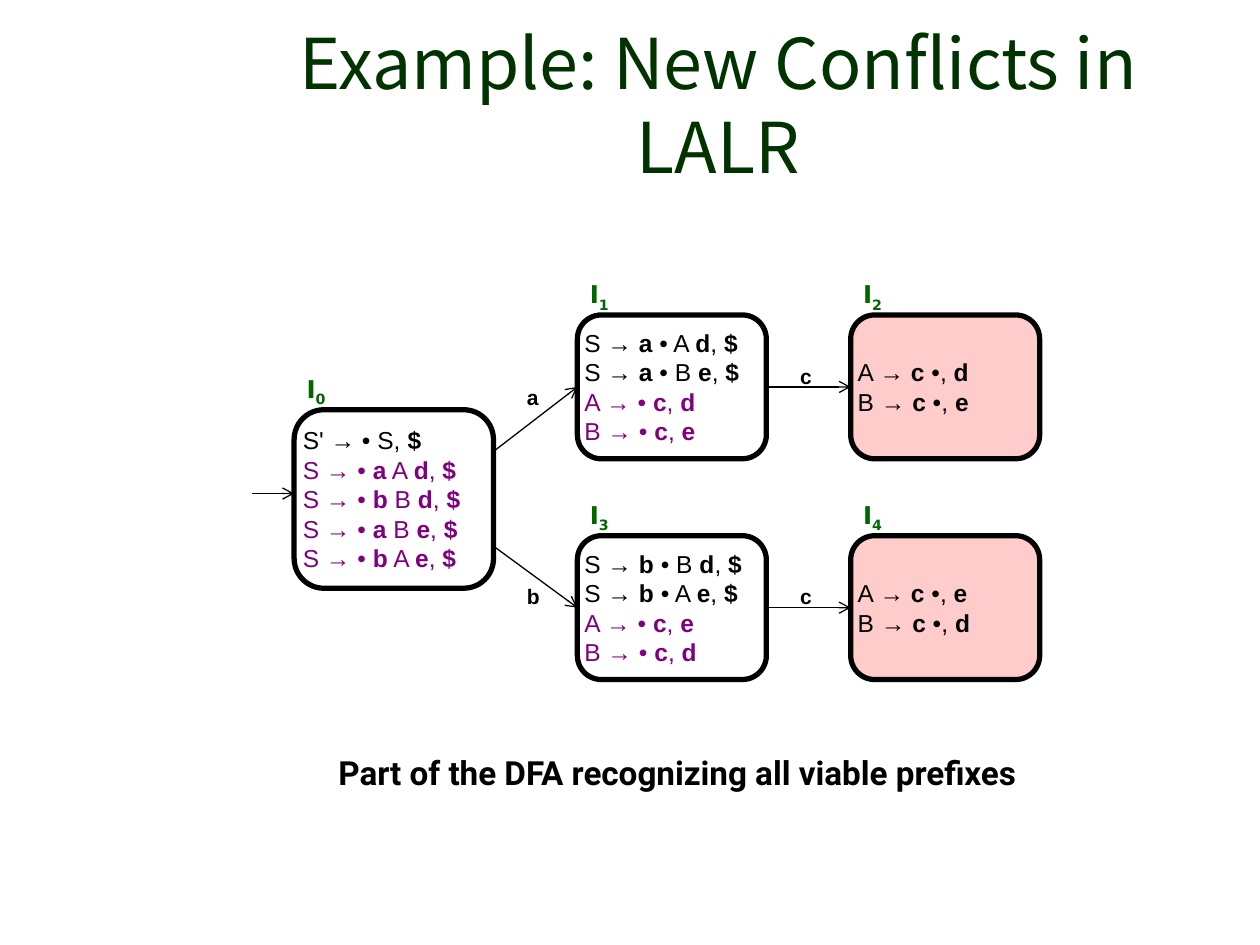
from lxml import etree
from pptx import Presentation
from pptx.dml.color import RGBColor
from pptx.enum.shapes import MSO_CONNECTOR as Conn, MSO_SHAPE as Form
from pptx.enum.text import MSO_ANCHOR as Anchor, PP_ALIGN as Align
from pptx.oxml.ns import qn
from pptx.util import Cm, Pt

BLACK, WHITE, PINK = "000000", "FFFFFF", "FFCCCC"
DARK, GREEN, PURPLE = "003300", "006600", "800080"


def color(code):
    return RGBColor.from_string(code)


class Board:
    """Style and current slide."""
    head, sans, label, body = "Noto Sans CJK SC", "Arial", "DejaVu Sans", "Roboto"

    def __init__(self, slide):
        self.slide = slide
        self.shapes = slide.shapes

    def style(self, run, face, size, code, bold=True):
        font = run.font
        font.name, font.size, font.bold = face, Pt(size), bold
        font.color.rgb = color(code)

    def text(self, words, x, y, w, h, face, size, code, bold=True, align=Align.LEFT):
        box = self.shapes.add_textbox(Cm(x), Cm(y), Cm(w), Cm(h))
        frame = box.text_frame
        frame.word_wrap = True
        frame.text = words
        para = frame.paragraphs[0]
        para.alignment = align
        self.style(para.runs[0], face, size, code, bold)
        return frame

    def tag(self, sign, x, y):
        self.text(sign, x, y, 0.85, 0.76, self.sans, 12, BLACK)

    def name(self, num, x, y):
        para = self.text("I", x, y, 1.9, 0.84, self.label, 14, GREEN).paragraphs[0]
        sub = para.add_run()
        sub.text = num
        self.style(sub, self.label, 14, GREEN)
        sub.font._element.set("baseline", "-25000")

    def state(self, num, x, y, w, h, items, core, fill=WHITE):
        """Item set; terminals stand between asterisks, items after the core are purple."""
        box = self.shapes.add_shape(Form.ROUNDED_RECTANGLE, Cm(x), Cm(y), Cm(w), Cm(h))
        box.shadow.inherit = False
        box.fill.solid()
        box.fill.fore_color.rgb = color(fill)
        box.line.color.rgb = color(BLACK)
        box.line.width = Pt(3)
        frame = box.text_frame
        frame.word_wrap = False
        frame.vertical_anchor = Anchor.MIDDLE
        frame.margin_left = frame.margin_right = 0
        frame.margin_top = frame.margin_bottom = 0
        for row, item in enumerate(items):
            para = frame.add_paragraph() if row else frame.paragraphs[0]
            para.alignment = Align.LEFT
            code = BLACK if row < core else PURPLE
            for part, words in enumerate(item.split("*")):
                if words:
                    run = para.add_run()
                    run.text = words
                    self.style(run, self.sans, 14, code, part % 2 == 1)
        self.name(num, x, y - 0.84)
        return box

    def arrow(self, start, end, tail=None, goal=None):
        line = self.shapes.add_connector(Conn.STRAIGHT, *map(Cm, start + end))
        if tail is not None:
            line.begin_connect(tail, 3)
        if goal is not None:
            line.end_connect(goal, 1)
        line.line.color.rgb = color(BLACK)
        line.line.width = Pt(0.75)
        etree.SubElement(line.line._get_or_add_ln(), qn("a:tailEnd"), type="arrow")
        etree.SubElement(line._element.spPr, qn("a:effectLst"))


def main():
    deck = Presentation()
    deck.slide_width, deck.slide_height = Cm(25.4), Cm(19.05)
    board = Board(deck.slides.add_slide(deck.slide_layouts[6]))

    # Title and caption
    title = board.text("Example: New Conflicts in LALR", 4.75, 0.79, 19.46, 2.59,
                       board.head, 40, DARK, False, Align.CENTER)
    title.vertical_anchor = Anchor.MIDDLE
    board.text("Part of the DFA recognizing all viable prefixes", 5.08, 15.04,
               17.15, 1.27, board.body, 19, BLACK, True, Align.CENTER)

    # Start state
    board.state("0", 5.93, 8.26, 4.02, 3.6, [
        "S' → • S, *$*",
        "S → • *a* A *d*, *$*",
        "S → • *b* B *d*, *$*",
        "S → • *a* B *e*, *$*",
        "S → • *b* A *e*, *$*"], 1)
    board.arrow((5.08, 9.95), (5.93, 9.95))

    # Two branches: sign, next states, row top, exit height, tag heights, lookaheads
    left, right, wide, high = 11.64, 17.15, 3.81, 2.9
    rows = [("a", "1", "2", 6.35, 9.1, 7.62, 7.2, "AB", "de"),
            ("b", "3", "4", 10.8, 11.01, 11.63, 11.63, "BA", "ed")]
    for sign, near, far, top, leave, high1, high2, syms, looks in rows:
        mid = top + high / 2
        one, two = looks
        first = board.state(near, left, top, wide, high, [
            f"S → *{sign}* • {syms[0]} *d*, *$*",
            f"S → *{sign}* • {syms[1]} *e*, *$*",
            f"A → • *c*, *{one}*",
            f"B → • *c*, *{two}*"], 2)
        last = board.state(far, right, top, wide, high, [
            f"A → *c* •, *{one}*",
            f"B → *c* •, *{two}*"], 2, PINK)
        board.arrow((9.95, leave), (left, mid), goal=first)
        board.arrow((left + wide, mid), (right, mid), first, last)
        board.tag(sign, 10.37, high1)
        board.tag("c", 15.88, high2)

    deck.save("out.pptx")


if __name__ == "__main__":
    main()
